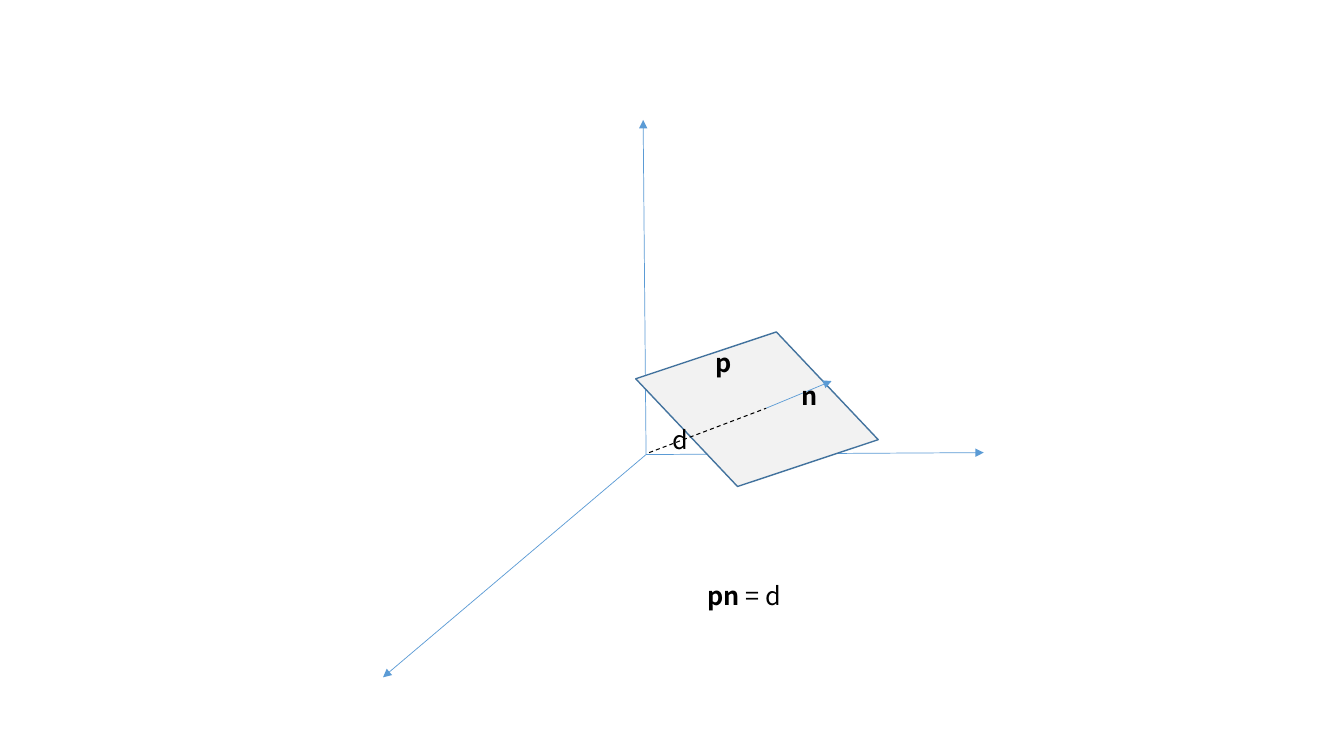
from lxml.etree import SubElement
from pptx import Presentation
from pptx.dml.color import RGBColor
from pptx.enum.dml import MSO_LINE
from pptx.enum.shapes import MSO_CONNECTOR, MSO_SHAPE
from pptx.enum.text import MSO_AUTO_SIZE
from pptx.oxml.ns import qn
from pptx.util import Pt

FONT = "Noto Sans CJK SC"
BLUE = "5B9BD5"
BLACK = "000000"


def paint(form, color):
    form.solid()
    form.fore_color.rgb = RGBColor.from_string(color)


def add_line(slide, start, end, color, width):
    ends = [Pt(n) for n in start + end]
    line = slide.shapes.add_connector(MSO_CONNECTOR.STRAIGHT, *ends)
    paint(line.line.fill, color)
    line.line.width = Pt(width)
    SubElement(line._element.spPr, qn("a:effectLst"))
    return line


def add_arrow(slide, start, end):
    arrow = add_line(slide, start, end, BLUE, 0.5)
    SubElement(arrow.line._get_or_add_ln(), qn("a:tailEnd"), type="triangle")


def add_dash(slide, start, end):
    add_line(slide, start, end, BLACK, 0.75).line.dash_style = MSO_LINE.DASH


def add_plane(slide, left, top, width, height, angle):
    box = [Pt(n) for n in (left, top, width, height)]
    plane = slide.shapes.add_shape(MSO_SHAPE.FLOWCHART_DECISION, *box)
    plane.shadow.inherit = False
    plane.rotation = angle
    paint(plane.fill, "F2F2F2")
    paint(plane.line.fill, "43739E")
    plane.line.width = Pt(1)


def add_label(slide, left, top, width, bold="", plain=""):
    box = slide.shapes.add_textbox(Pt(left), Pt(top), Pt(width), Pt(29))
    frame = box.text_frame
    frame.word_wrap = False
    frame.auto_size = MSO_AUTO_SIZE.SHAPE_TO_FIT_TEXT
    for text, heavy in ((bold, True), (plain, False)):
        if text:
            run = frame.paragraphs[0].add_run()
            run.text = text
            run.font.name = FONT
            run.font.size = Pt(18)
            run.font.bold = heavy
            paint(run.font.fill, BLACK)


def main():
    deck = Presentation()
    deck.slide_width, deck.slide_height = Pt(960), Pt(540)
    slide = deck.slides.add_slide(deck.slide_layouts[6])

    origin = (461.5, 324.7)
    for tip in ((702.7, 323.3), (459.4, 85.7), (273.6, 483.8)):
        add_arrow(slide, origin, tip)

    add_plane(slide, 451.4, 235.4, 178.6, 113.8, 14.1)
    foot = (547.2, 291.6)
    add_arrow(slide, foot, (594, 272.2))
    add_dash(slide, (463.7, 323.3), foot)

    add_label(slide, 473, 299.5, 25.2, plain="d")
    add_label(slide, 565.2, 267.8, 25.2, bold="n")
    add_label(slide, 504, 244.8, 25.2, bold="p")
    add_label(slide, 498.2, 411.1, 68.4, bold="pn", plain=" = d")
    deck.save("out.pptx")


main()
